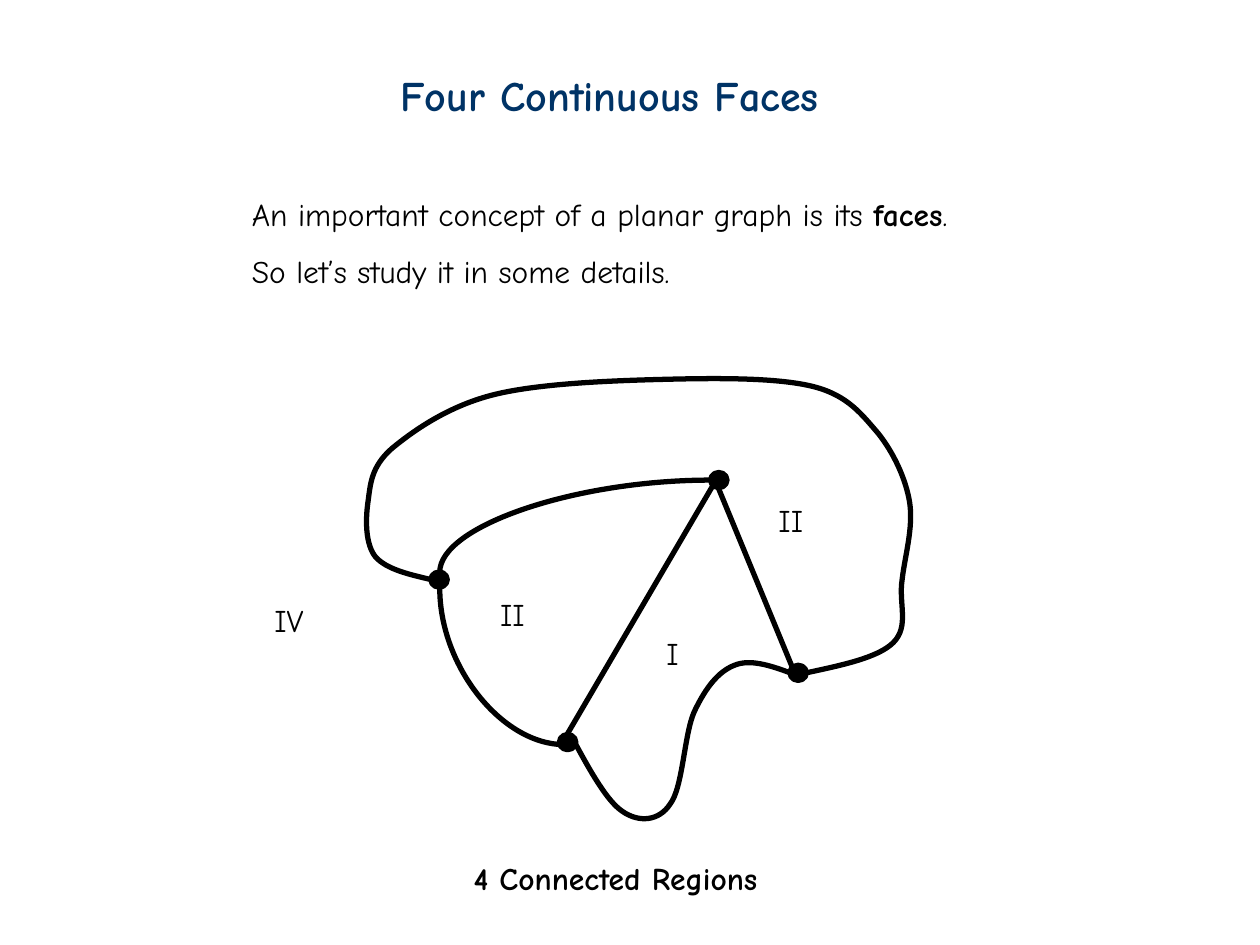
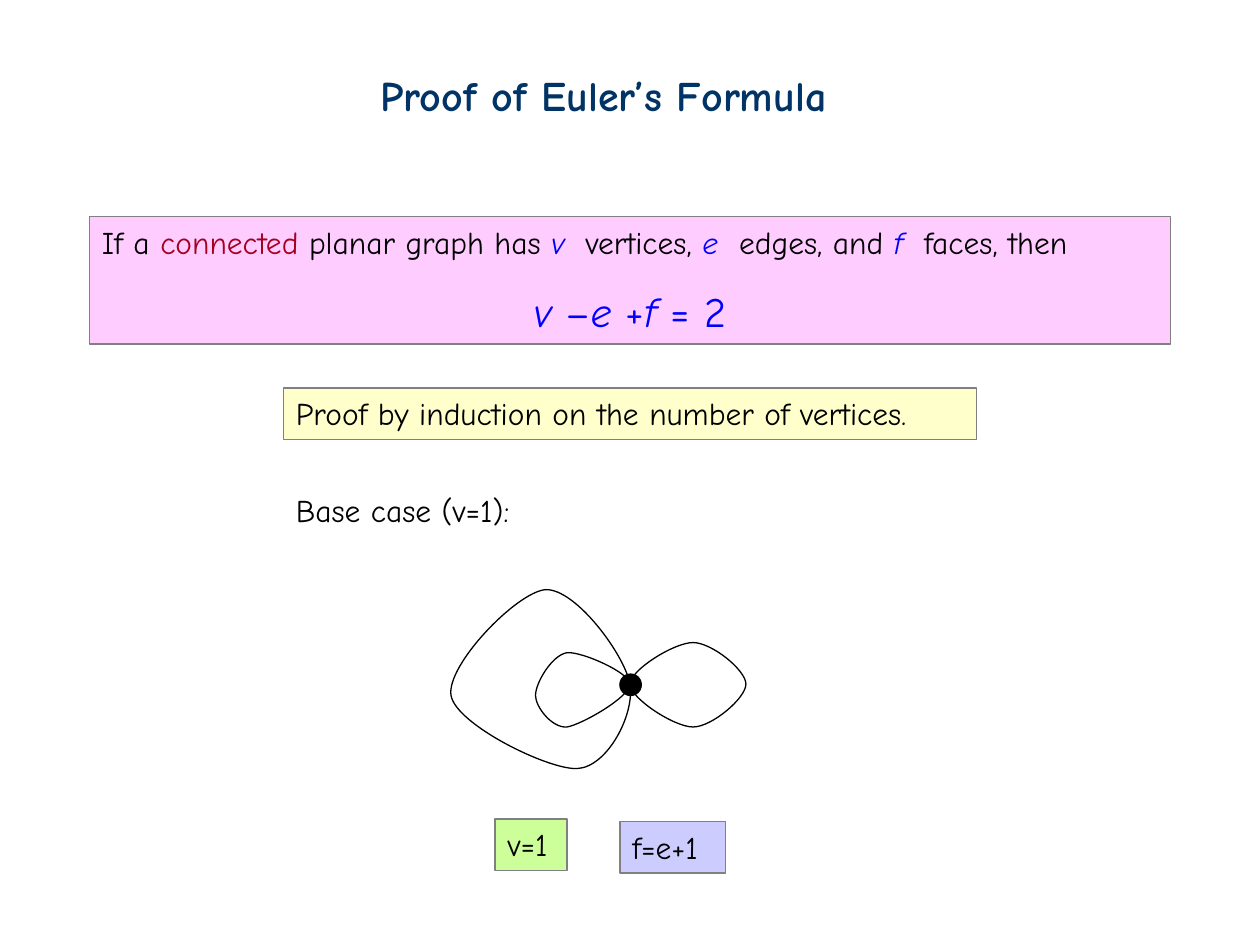
from lxml import etree
from pptx import Presentation
from pptx import util as u
from pptx.dml.color import RGBColor
from pptx.enum import shapes, text
from pptx.oxml.ns import qn

PX = 9144
FONT = "Comic Neue"
BLACK = RGBColor(0x00, 0x00, 0x00)
NAVY = RGBColor(0x00, 0x33, 0x66)
BLUE = RGBColor(0x00, 0x00, 0xFF)
CRIMSON = RGBColor(0xA5, 0x00, 0x21)
GRAY = RGBColor(0x80, 0x80, 0x80)
PINK = RGBColor(0xFF, 0xCC, 0xFF)
CREAM = RGBColor(0xFF, 0xFF, 0xCC)
GREEN = RGBColor(0xCC, 0xFF, 0x99)
LILAC = RGBColor(0xCC, 0xCC, 0xFF)
THICK, THIN = 3, 0.75

OUTER_EDGE = [
    (342, 460), (325, 456), (307, 452), (298, 442), (290, 432), (290, 413), (292, 399),
    (294, 385), (294, 371), (311, 356), (328, 342), (356, 322), (393, 313),
    (430, 304), (490, 302), (532, 301), (574, 300), (619, 300), (646, 307),
    (673, 314), (684, 329), (697, 344), (709, 359), (719, 380), (722, 399),
    (725, 419), (718, 442), (716, 460), (713, 479), (722, 497), (709, 510),
    (697, 522), (668, 528), (640, 534),
]
LOWER_EDGE = [
    (456, 589), (469, 613), (482, 636), (494, 644), (507, 653), (523, 652), (532, 638),
    (542, 625), (543, 583), (551, 565), (560, 546), (570, 533), (583, 528),
    (595, 523), (611, 528), (627, 534),
]
LOOPS = [
    [(500, 543), (500, 534), (462, 517), (450, 518), (438, 520), (425, 542), (425, 552),
     (425, 561), (438, 578), (450, 577), (462, 575), (500, 553), (500, 543)],
    [(500, 543), (500, 554), (535, 577), (550, 577), (565, 577), (592, 554), (592, 543),
     (592, 532), (565, 510), (550, 510), (535, 510), (500, 532), (500, 543)],
    [(500, 543), (504, 567), (482, 609), (458, 610), (435, 611), (362, 575), (358, 552),
     (354, 528), (410, 470), (433, 468), (457, 467), (496, 520), (500, 543)],
]


def emu(*lengths):
    """Turn px lengths into EMU."""
    return [round(length * PX) for length in lengths]


def set_line(shape, color, width):
    """Give a shape or connector a solid line."""
    shape.line.color.rgb = color
    shape.line.width = u.Pt(width)


def add_run(paragraph, words, size=18, color=BLACK, bold=False, italic=False, spacing=0):
    """Append formatted text to a paragraph."""
    run = paragraph.add_run()
    run.text = words
    font = run.font
    font.name, font.size, font.bold, font.italic = FONT, u.Pt(size), bold, italic
    font.color.rgb = color
    if spacing:
        run._r.get_or_add_rPr().set("spc", str(spacing))


def add_box(slide, left, top, width, height, fill=None, wrap=False):
    """Add an empty text box, outlined in gray when filled."""
    box = slide.shapes.add_textbox(*emu(left, top, width, height))
    box.text_frame.word_wrap = wrap
    box.text_frame.auto_size = text.MSO_AUTO_SIZE.SHAPE_TO_FIT_TEXT
    if fill is not None:
        box.fill.solid()
        box.fill.fore_color.rgb = fill
        set_line(box, GRAY, THIN)
    return box


def add_label(slide, words, left, top, width, height=40, fill=None, **style):
    """Add a one-line text box."""
    box = add_box(slide, left, top, width, height, fill)
    add_run(box.text_frame.paragraphs[0], words, **style)


def add_title(slide, words, left, width):
    """Add the slide title."""
    add_label(slide, words, left, 50, width, 50, size=24, color=NAVY, bold=True)


def add_vertex(slide, left, top, width, height, line_width):
    """Add a black dot."""
    dot = slide.shapes.add_shape(shapes.MSO_SHAPE.OVAL, *emu(left, top, width, height))
    dot.shadow.inherit = False
    dot.fill.solid()
    dot.fill.fore_color.rgb = BLACK
    set_line(dot, BLACK, line_width)


def add_edge(slide, start, end, kind=shapes.MSO_CONNECTOR.STRAIGHT):
    """Add a thick connector between two points."""
    edge = slide.shapes.add_connector(kind, *emu(*start, *end))
    set_line(edge, BLACK, THICK)
    etree.SubElement(edge._element.spPr, qn("a:effectLst"))
    return edge


def add_arc(slide, start, end):
    """Add a quarter-turn connector that leaves its start vertically."""
    middle_x, middle_y = (start[0] + end[0]) / 2, (start[1] + end[1]) / 2
    dx, dy = start[0] - middle_x, start[1] - middle_y
    arc = add_edge(slide, (middle_x - dy, middle_y + dx), (middle_x + dy, middle_y - dx),
                   shapes.MSO_CONNECTOR.CURVE)
    properties = arc._element.spPr
    properties.find(qn("a:xfrm")).set("rot", str(270 * 60000))
    properties.find(qn("a:prstGeom")).set("prst", "curvedConnector2")


def add_curve(slide, points, line_width, closed=False):
    """Draw a chain of cubic Bezier curves, given as anchors and control points."""
    builder = slide.shapes.build_freeform(*emu(*points[0]))
    builder.add_line_segments([emu(*point) for point in points[1:]], close=closed)
    curve = builder.convert_to_shape()
    segments = list(curve._element.spPr.iter(qn("a:lnTo")))
    for first in range(0, len(segments), 3):
        bend = etree.Element(qn("a:cubicBezTo"))
        segments[first].addprevious(bend)
        for segment in segments[first:first + 3]:
            bend.append(segment[0])
            segment.getparent().remove(segment)
    curve.shadow.inherit = False
    curve.fill.background()
    set_line(curve, BLACK, line_width)


def build_faces(slide):
    """Build the slide on the faces of a planar graph."""
    for left, top in [(342, 454), (627, 528), (444, 583), (564, 375)]:
        add_vertex(slide, left, top, 13, 12, THICK)
    add_edge(slide, (570, 387), (629, 530))
    add_curve(slide, LOWER_EDGE, THICK)
    add_arc(slide, (349, 467), (448, 591))
    add_arc(slide, (349, 454), (564, 381))
    add_edge(slide, (566, 385), (450, 583))
    add_curve(slide, OUTER_EDGE, THICK)
    for numeral, left, top, width in [("IV", 208, 472, 50), ("I", 519, 498, 34),
                                      ("II", 387, 467, 48), ("II", 608, 393, 48)]:
        add_label(slide, numeral, left, top, width)
    add_label(slide, "4 Connected Regions", 366, 677, 268, bold=True)
    add_title(slide, "Four Continuous Faces", 308, 378)
    frame = add_box(slide, 190, 150, 621, 85).text_frame
    concept = frame.paragraphs[0]
    add_run(concept, "An important concept of a planar graph is its ")
    add_run(concept, "faces", bold=True)
    add_run(concept, ".")
    study = frame.add_paragraph()
    study.line_spacing = 1.5
    add_run(study, "So let’s study it in some details.")


def add_theorem(slide):
    """Add the statement of the formula."""
    frame = add_box(slide, 71, 172, 858, 101, PINK, wrap=True).text_frame
    statement = frame.paragraphs[0]
    add_run(statement, "If a ")
    add_run(statement, "connected", color=CRIMSON)
    add_run(statement, " planar graph has ")
    for symbol, words in [("v ", "vertices, "), ("e ", "edges, and "), ("f ", "faces, then")]:
        add_run(statement, symbol, color=BLUE, italic=True, spacing=300)
        add_run(statement, words)
    formula = frame.add_paragraph()
    formula.alignment = text.PP_ALIGN.CENTER
    formula.line_spacing = 1.5
    for symbol, operator in [("v ", "–"), ("e ", "+"), ("f", " = 2")]:
        add_run(formula, symbol, size=24, color=BLUE, italic=True)
        add_run(formula, operator, size=24, color=BLUE)


def build_proof(slide):
    """Build the slide on the base case of the proof."""
    add_title(slide, "Proof of Euler’s Formula", 292, 414)
    add_label(slide, "Proof by induction on the number of vertices.", 225, 308, 550, 41, CREAM)
    add_label(slide, "Base case (v=1):", 225, 385, 203)
    add_vertex(slide, 492, 535, 17, 17, THIN)
    for loop in LOOPS:
        add_curve(slide, loop, THIN, closed=True)
    add_label(slide, "v=1", 393, 650, 57, 41, GREEN)
    add_label(slide, "f=e+1", 492, 652, 84, 41, LILAC)
    add_theorem(slide)


def main():
    """Build and save the presentation."""
    presentation = Presentation()
    presentation.slide_width, presentation.slide_height = emu(1000, 750)
    for build in (build_faces, build_proof):
        build(presentation.slides.add_slide(presentation.slide_layouts[6]))
    presentation.save("out.pptx")


if __name__ == "__main__":
    main()
